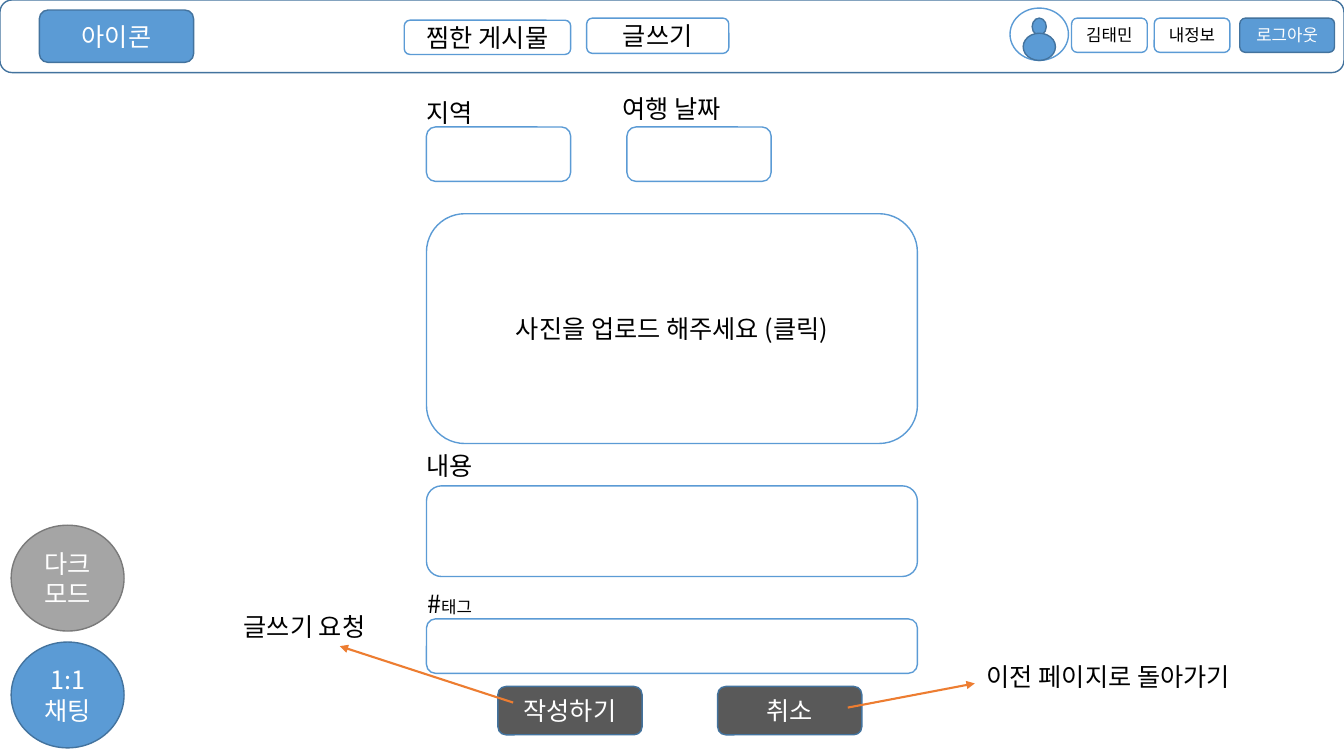
"""Builds the wireframe of a travel site's post-writing page."""
from dataclasses import dataclass

from lxml import etree
from pptx import Presentation
from pptx.dml.color import RGBColor
from pptx.enum.shapes import MSO_CONNECTOR, MSO_SHAPE
from pptx.enum.text import MSO_ANCHOR, MSO_AUTO_SIZE, PP_ALIGN
from pptx.oxml.ns import qn
from pptx.util import Inches, Pt

WIDTH, HEIGHT = Inches(13.333), Inches(7.5)
FONT = "Noto Sans CJK KR"
COLORS = {
    "white": "FFFFFF", "black": "000000", "blue": "5B9BD5", "navy": "43739E",
    "gray": "A5A5A5", "gray_edge": "7A7A7A", "dark": "595959", "orange": "ED7D31",
}
STYLES = {
    "bar": ("white", "navy", "black"),
    "field": ("white", "blue", "black"),
    "primary": ("blue", "navy", "white"),
    "action": ("dark", "navy", "white"),
    "muted": ("gray", "gray_edge", "white"),
}
ROUND, OVAL = MSO_SHAPE.ROUNDED_RECTANGLE, MSO_SHAPE.OVAL

FORM_X, FORM_W = 31.73, 36.53
FIELD_W, FIELD_H = 10.73, 7.2
LABEL_X, LABEL_W, LABEL_H = 30.98, 5.33, 5.33
MENU_Y, MENU_H = 2.4, 4.53
ACCOUNT_W = 5.63
CIRCLE_X, CIRCLE_W, CIRCLE_H = 0.83, 8.4, 14
ACTION_Y, ACTION_H = 90.8, 6.4


@dataclass(frozen=True)
class Box:
    """A shape placed in percent of the slide's width and height."""
    x: float
    y: float
    w: float
    h: float
    style: str = "field"
    text: str = ""
    size: int = 18
    kind: MSO_SHAPE = ROUND


@dataclass(frozen=True)
class Label:
    """A free text made of (words, size) runs, placed in percent."""
    x: float
    y: float
    w: float
    runs: tuple[tuple[str, int], ...]


@dataclass(frozen=True)
class Arrow:
    """An arrow between two points given in percent."""
    x1: float
    y1: float
    x2: float
    y2: float


HEADER = [
    Box(0, 0, 100, 9.6, "bar"),
    Box(2.93, 1.33, 11.48, 6.93, "primary", "아이콘"),
    Box(30.08, 2.67, 12.38, MENU_H, text="찜한 게시물"),
    Box(43.65, MENU_Y, 10.58, 4.67, text="글쓰기"),
    Box(75.15, 1.07, 4.35, 6.93, kind=OVAL),
    Box(76.8, MENU_Y, 1.05, 2.27, "primary", kind=OVAL),
    Box(76.13, 4.4, 2.4, 3.6, "primary", kind=OVAL),
    Box(79.73, MENU_Y, ACCOUNT_W, MENU_H, text="김태민", size=12),
    Box(85.88, MENU_Y, ACCOUNT_W, MENU_H, text="내정보", size=12),
    Box(92.25, MENU_Y, 7.05, MENU_H, "primary", "로그아웃", 12),
]
FORM = [
    Box(FORM_X, 16.8, FIELD_W, FIELD_H),
    Box(46.65, 16.8, FIELD_W, FIELD_H),
    Box(FORM_X, 28.27, FORM_W, 30.4, text="사진을 업로드 해주세요 (클릭)"),
    Box(FORM_X, 64.27, FORM_W, 12),
    Box(FORM_X, 81.87, FORM_W, FIELD_H),
    Box(37.05, ACTION_Y, FIELD_W, ACTION_H, "action", "작성하기"),
    Box(53.4, ACTION_Y, FIELD_W, ACTION_H, "action", "취소"),
]
FLOATING = [
    Box(CIRCLE_X, 69.47, CIRCLE_W, CIRCLE_H, "muted", "다크모드", kind=OVAL),
    Box(CIRCLE_X, 84.93, CIRCLE_W, CIRCLE_H, "primary", "1:1 채팅", kind=OVAL),
]
LABELS = [
    Label(LABEL_X, 12.27, LABEL_W, (("지역", 18),)),
    Label(45.6, 11.73, 9.75, (("여행 날짜", 18),)),
    Label(LABEL_X, 58.93, LABEL_W, (("내용", 18),)),
    Label(31.05, 77.2, 5.18, (("#", 18), ("태그", 12))),
    Label(17.4, 80.27, 11.63, (("글쓰기 요청", 18),)),
    Label(72.68, 86.8, 21.83, (("이전 페이지로 돌아가기", 18),)),
]
ARROWS = [Arrow(38.18, 92.93, 25.28, 85.47), Arrow(63.08, 93.6, 72.53, 90.4)]


def across(share: float) -> int:
    """Turn a percentage of the slide's width into a length."""
    return round(WIDTH * share / 100)


def down(share: float) -> int:
    """Turn a percentage of the slide's height into a length."""
    return round(HEIGHT * share / 100)


def rgb(name: str) -> RGBColor:
    """Look up a named colour."""
    return RGBColor.from_string(COLORS[name])


def add_run(paragraph, text: str, size: int, color: str) -> None:
    """Append a run set in the slide's font for Latin and Korean."""
    run = paragraph.add_run()
    run.text = text
    run.font.size = Pt(size)
    run.font.color.rgb = rgb(color)
    run.font.name = FONT
    etree.SubElement(run.font._element, qn("a:ea"), typeface=FONT)


def draw_box(shapes, box: Box) -> None:
    """Draw a filled shape with optional centred text."""
    fill, line, ink = STYLES[box.style]
    shape = shapes.add_shape(box.kind, across(box.x), down(box.y), across(box.w), down(box.h))
    shape.shadow.inherit = False
    shape.fill.solid()
    shape.fill.fore_color.rgb = rgb(fill)
    shape.line.color.rgb = rgb(line)
    shape.line.width = Pt(1)
    if box.text:
        frame = shape.text_frame
        frame.word_wrap = True
        frame.vertical_anchor = MSO_ANCHOR.MIDDLE
        frame.paragraphs[0].alignment = PP_ALIGN.CENTER
        add_run(frame.paragraphs[0], box.text, box.size, ink)


def draw_label(shapes, label: Label) -> None:
    """Draw an unwrapped text box that grows with its text."""
    frame = shapes.add_textbox(
        across(label.x), down(label.y), across(label.w), down(LABEL_H)).text_frame
    frame.word_wrap = False
    frame.auto_size = MSO_AUTO_SIZE.SHAPE_TO_FIT_TEXT
    for text, size in label.runs:
        add_run(frame.paragraphs[0], text, size, "black")


def draw_arrow(shapes, arrow: Arrow) -> None:
    """Draw an orange line ending in a triangle."""
    line = shapes.add_connector(
        MSO_CONNECTOR.STRAIGHT, across(arrow.x1), down(arrow.y1),
        across(arrow.x2), down(arrow.y2))
    line.line.color.rgb = rgb("orange")
    line.line.width = Pt(1.5)
    etree.SubElement(line.line._get_or_add_ln(), qn("a:tailEnd"), type="triangle")
    etree.SubElement(line._element.spPr, qn("a:effectLst"))


def main() -> None:
    """Build and save the slide."""
    deck = Presentation()
    deck.slide_width, deck.slide_height = WIDTH, HEIGHT
    shapes = deck.slides.add_slide(deck.slide_layouts[6]).shapes
    for box in HEADER + FORM + FLOATING:
        draw_box(shapes, box)
    for label in LABELS:
        draw_label(shapes, label)
    for arrow in ARROWS:
        draw_arrow(shapes, arrow)
    deck.save("out.pptx")


main()
